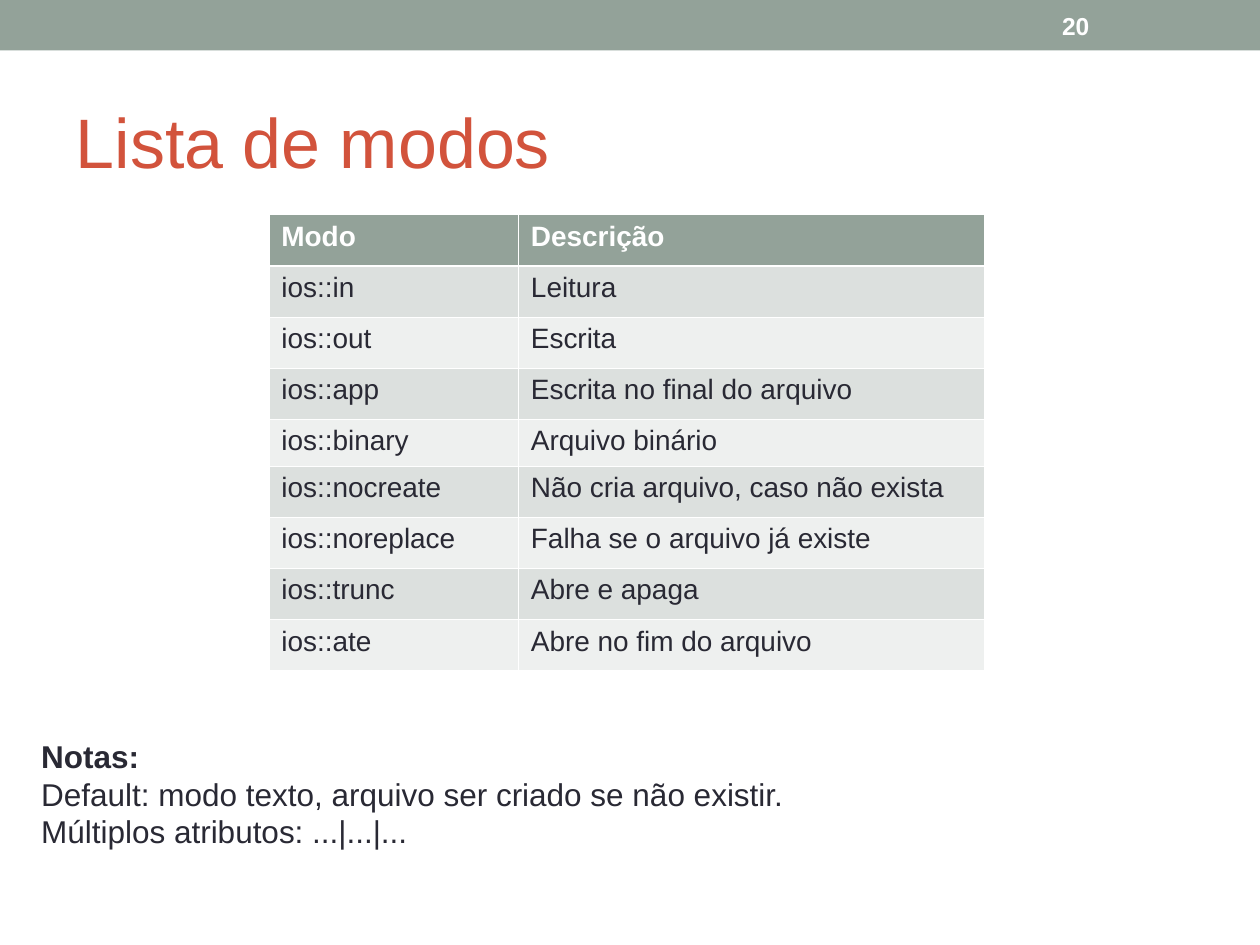
from lxml import etree
from pptx import Presentation
from pptx.dml.color import RGBColor
from pptx.enum import shapes, text
from pptx.oxml import ns
from pptx.util import Cm, Pt

SAGE, RUST, INK, WHITE = "93A299", "D2533C", "292934", "FFFFFF"
BANDS = ("DCE0DE", "EEF0EF")
THIN, THICK = Pt(0.45), Pt(1.5)

MODES = [
    ("Modo", "Descrição"),
    ("ios::in", "Leitura"),
    ("ios::out", "Escrita"),
    ("ios::app", "Escrita no final do arquivo"),
    ("ios::binary", "Arquivo binário"),
    ("ios::nocreate", "Não cria arquivo, caso não exista"),
    ("ios::noreplace", "Falha se o arquivo já existe"),
    ("ios::trunc", "Abre e apaga"),
    ("ios::ate", "Abre no fim do arquivo"),
]
ROW_HEIGHT = 1.03
SHORT_ROW, SHORT_HEIGHT = 4, 0.95
NOTES = [
    "Notas:",
    "Default: modo texto, arquivo ser criado se não existir.",
    "Múltiplos atributos: ...|...|...",
]


def color(value):
    return RGBColor.from_string(value)


def paint(shape, value):
    shape.fill.solid()
    shape.fill.fore_color.rgb = color(value)


def format_paragraph(para, size, value, bold=False):
    para.alignment = text.PP_ALIGN.LEFT
    for span in para.runs:
        span.font.name = "Arial"
        span.font.size = Pt(size)
        span.font.bold = bold
        span.font.color.rgb = color(value)


def add_text_box(page, left, top, width, height):
    frame = page.shapes.add_textbox(Cm(left), Cm(top), Cm(width), Cm(height)).text_frame
    frame.word_wrap = True
    return frame


def add_header(page, left, top, width, height):
    """Coloured band with the slide number near its right end."""
    band = page.shapes.add_shape(
        shapes.MSO_SHAPE.RECTANGLE, Cm(left), Cm(top), Cm(width), Cm(height))
    band.shadow.inherit = False
    band.line.fill.background()
    paint(band, SAGE)
    frame = add_text_box(page, left + width - 4.24, top + 0.05, 2.97, height - 0.1)
    frame.vertical_anchor = text.MSO_ANCHOR.MIDDLE
    frame.text = "20"
    format_paragraph(frame.paragraphs[0], 14, WHITE, bold=True)


def add_title(page, left, top, width, height):
    title = page.shapes.title
    title.left, title.top, title.width, title.height = map(Cm, (left, top, width, height))
    frame = title.text_frame
    frame.text = "Lista de modos"
    frame.vertical_anchor = text.MSO_ANCHOR.MIDDLE
    format_paragraph(frame.paragraphs[0], 40, RUST)


def set_borders(cell, top, bottom):
    properties = cell._tc.get_or_add_tcPr()
    for side, width in (("L", THIN), ("R", THIN), ("T", top), ("B", bottom)):
        line = etree.SubElement(properties, ns.qn(f"a:ln{side}"), w=str(int(width)))
        fill = etree.SubElement(line, ns.qn("a:solidFill"))
        etree.SubElement(fill, ns.qn("a:srgbClr"), val=WHITE)


def add_mode_table(page, left, top, widths):
    heights = [SHORT_HEIGHT if row == SHORT_ROW else ROW_HEIGHT
               for row in range(len(MODES))]
    table = page.shapes.add_table(
        len(MODES), len(widths), Cm(left), Cm(top), Cm(sum(widths)), Cm(sum(heights))).table
    for column, width in zip(table.columns, widths):
        column.width = Cm(width)
    for row, values in enumerate(MODES):
        table.rows[row].height = Cm(heights[row])
        is_head = row == 0
        for column, value in enumerate(values):
            cell = table.cell(row, column)
            cell.text = value
            format_paragraph(cell.text_frame.paragraphs[0], 16,
                             WHITE if is_head else INK, bold=is_head)
            set_borders(cell, THICK if row == 1 else THIN, THICK if is_head else THIN)
            paint(cell, SAGE if is_head else BANDS[(row - 1) % 2])


def add_notes_box(page, left, top, width, height):
    frame = add_text_box(page, left, top, width, height)
    frame.text = "\n".join(NOTES)
    for index, para in enumerate(frame.paragraphs):
        format_paragraph(para, 18, INK, bold=index == 0)


def main():
    deck = Presentation()
    deck.slide_width, deck.slide_height = Cm(25.4), Cm(19.05)
    page = deck.slides.add_slide(deck.slide_layouts[5])
    add_header(page, 0, 0, 25.4, 1.02)
    add_title(page, 1.27, 1.47, 22.86, 2.74)
    add_mode_table(page, 5.42, 4.33, (5.03, 9.4))
    add_notes_box(page, 0.58, 14.73, 24.1, 3.3)
    deck.save("out.pptx")


if __name__ == "__main__":
    main()
